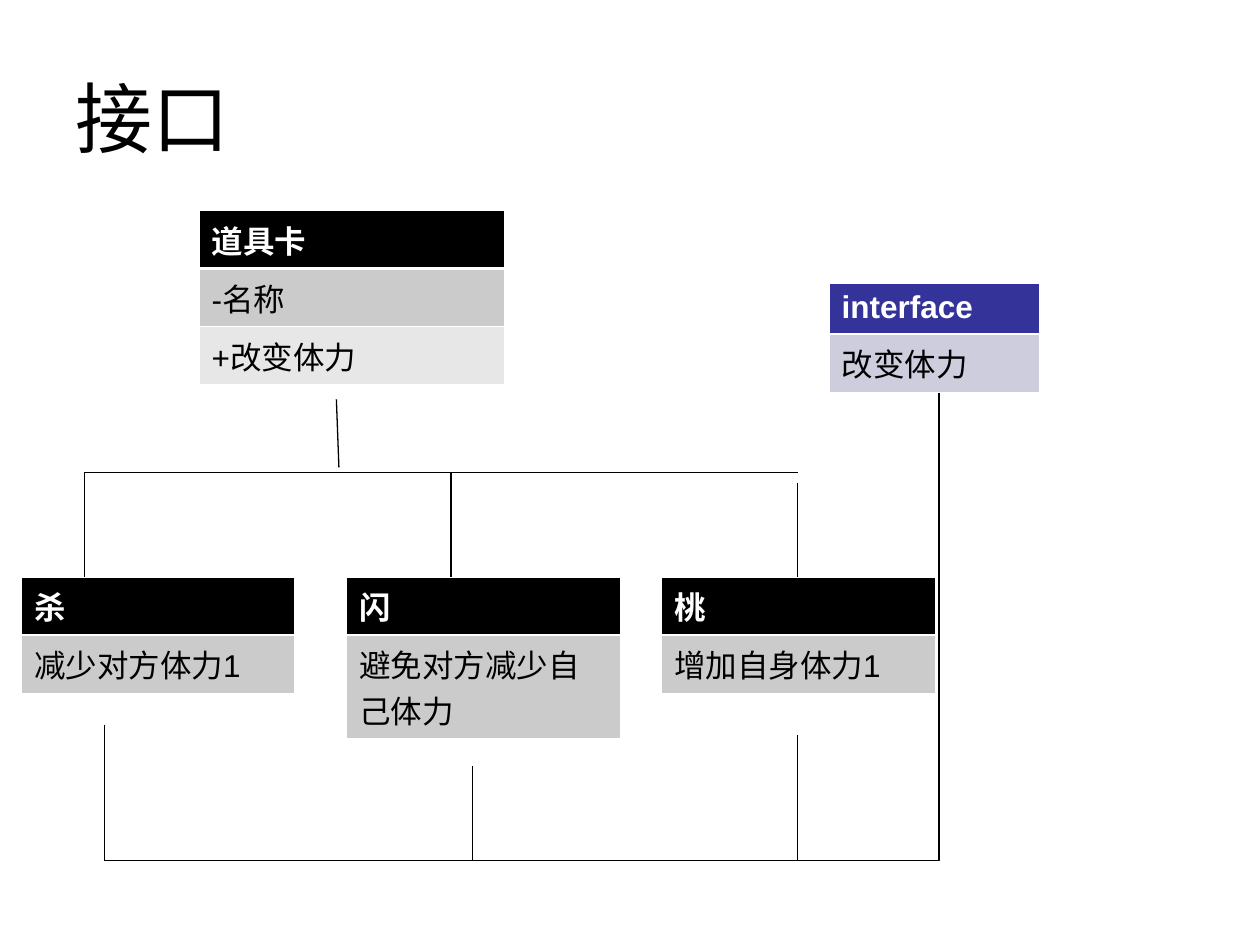
from lxml import etree
from pptx import Presentation
from pptx.dml.color import RGBColor
from pptx.enum.shapes import MSO_CONNECTOR
from pptx.enum.text import MSO_ANCHOR
from pptx.oxml.ns import qn
from pptx.util import Inches, Pt

STRAIGHT = MSO_CONNECTOR.STRAIGHT
ELBOW = MSO_CONNECTOR.ELBOW
MIDDLE = MSO_ANCHOR.MIDDLE

FONT = "Arial"
BLACK, WHITE = "000000", "FFFFFF"
DARK_GRAY, LIGHT_GRAY = "CBCBCB", "E7E7E7"
BLUE, PALE_BLUE = "333399", "CDCDDE"
THIN, THICK = 0.45, 1.47

CARD_TOP, CARD_WIDTH = 4.58, 2.17
LATIN_ROW, ROW, DOUBLE_ROW = 0.4, 0.46, 0.82
BRANCH_Y, INTERFACE_Y = 3.75, 6.83


def color(value):
    return RGBColor.from_string(value)


def write_text(text_frame, text, size=18, fill=BLACK, bold=False):
    paragraph = text_frame.paragraphs[0]
    run = paragraph.add_run()
    run.text = text
    run.font.name = FONT
    run.font.size = Pt(size)
    run.font.bold = bold
    run.font.color.rgb = color(fill)


def add_title(slide, text):
    shape = slide.shapes.add_textbox(Inches(0.5), Inches(0.3), Inches(9), Inches(1.25))
    shape.text_frame.word_wrap = True
    shape.text_frame.vertical_anchor = MIDDLE
    write_text(shape.text_frame, text, size=44)


def set_borders(cell, top, bottom):
    properties = cell._tc.get_or_add_tcPr()
    widths = {"a:lnL": THIN, "a:lnR": THIN, "a:lnT": top, "a:lnB": bottom}
    for index, (tag, width) in enumerate(widths.items()):
        border = etree.Element(qn(tag), w=str(int(Pt(width))))
        fill = etree.SubElement(border, qn("a:solidFill"))
        etree.SubElement(fill, qn("a:srgbClr"), val=WHITE)
        properties.insert(index, border)


def add_class_table(slide, left, top, width, heights, texts, fills):
    frame = slide.shapes.add_table(
        len(texts), 1, Inches(left), Inches(top), Inches(width), Inches(sum(heights))
    )
    table = frame.table
    table.horz_banding = False
    table.columns[0].width = Inches(width)
    for index, (height, text, fill) in enumerate(zip(heights, texts, fills)):
        table.rows[index].height = Inches(height)
        cell = table.cell(index, 0)
        cell.fill.solid()
        cell.fill.fore_color.rgb = color(fill)
        set_borders(
            cell,
            top=THICK if index == 1 else THIN,
            bottom=THICK if index == 0 else THIN,
        )
        header = index == 0
        write_text(cell.text_frame, text, fill=WHITE if header else BLACK, bold=header)


def add_line(slide, start, end, kind=STRAIGHT):
    connector = slide.shapes.add_connector(
        kind, *(Inches(value) for value in (*start, *end))
    )
    connector.line.color.rgb = color(BLACK)
    connector.line.width = Pt(0.75)
    etree.SubElement(connector._element.spPr, qn("a:effectLst"))
    return connector


def add_elbow(slide, start, end, bend):
    connector = add_line(slide, start, end, kind=ELBOW)
    guides = connector._element.spPr.find(qn("a:prstGeom")).get_or_add_avLst()
    etree.SubElement(guides, qn("a:gd"), name="adj1", fmla=f"val {round(bend * 100000)}")


def main():
    presentation = Presentation()
    presentation.slide_width = Inches(10)
    presentation.slide_height = Inches(7.5)
    slide = presentation.slides.add_slide(presentation.slide_layouts[6])

    add_title(slide, "接口")

    cards = [
        (0.17, "杀", "减少对方体力1", ROW),
        (2.75, "闪", "避免对方减少自己体力", DOUBLE_ROW),
        (5.25, "桃", "增加自身体力1", ROW),
    ]
    for left, name, effect, effect_height in cards:
        add_class_table(
            slide, left, CARD_TOP, CARD_WIDTH, (ROW, effect_height),
            (name, effect), (BLACK, DARK_GRAY),
        )
    add_class_table(
        slide, 1.58, 1.67, 2.42, (ROW, ROW, ROW),
        ("道具卡", "-名称", "+改变体力"), (BLACK, DARK_GRAY, LIGHT_GRAY),
    )

    add_line(slide, (2.67, 3.17), (2.69, 3.71))
    add_line(slide, (0.67, BRANCH_Y), (6.33, BRANCH_Y))
    for x, top in ((0.67, BRANCH_Y), (3.58, BRANCH_Y), (6.33, 3.83)):
        add_line(slide, (x, top), (x, CARD_TOP))

    for x, top in ((0.83, 5.75), (3.75, 6.08), (6.33, 5.83)):
        add_line(slide, (x, top), (x, INTERFACE_Y))
    add_elbow(slide, (0.83, INTERFACE_Y), (7.42, 3), bend=1.005)

    add_class_table(
        slide, 6.58, 2.25, 1.67, (LATIN_ROW, ROW),
        ("interface", "改变体力"), (BLUE, PALE_BLUE),
    )

    presentation.save("out.pptx")


if __name__ == "__main__":
    main()
